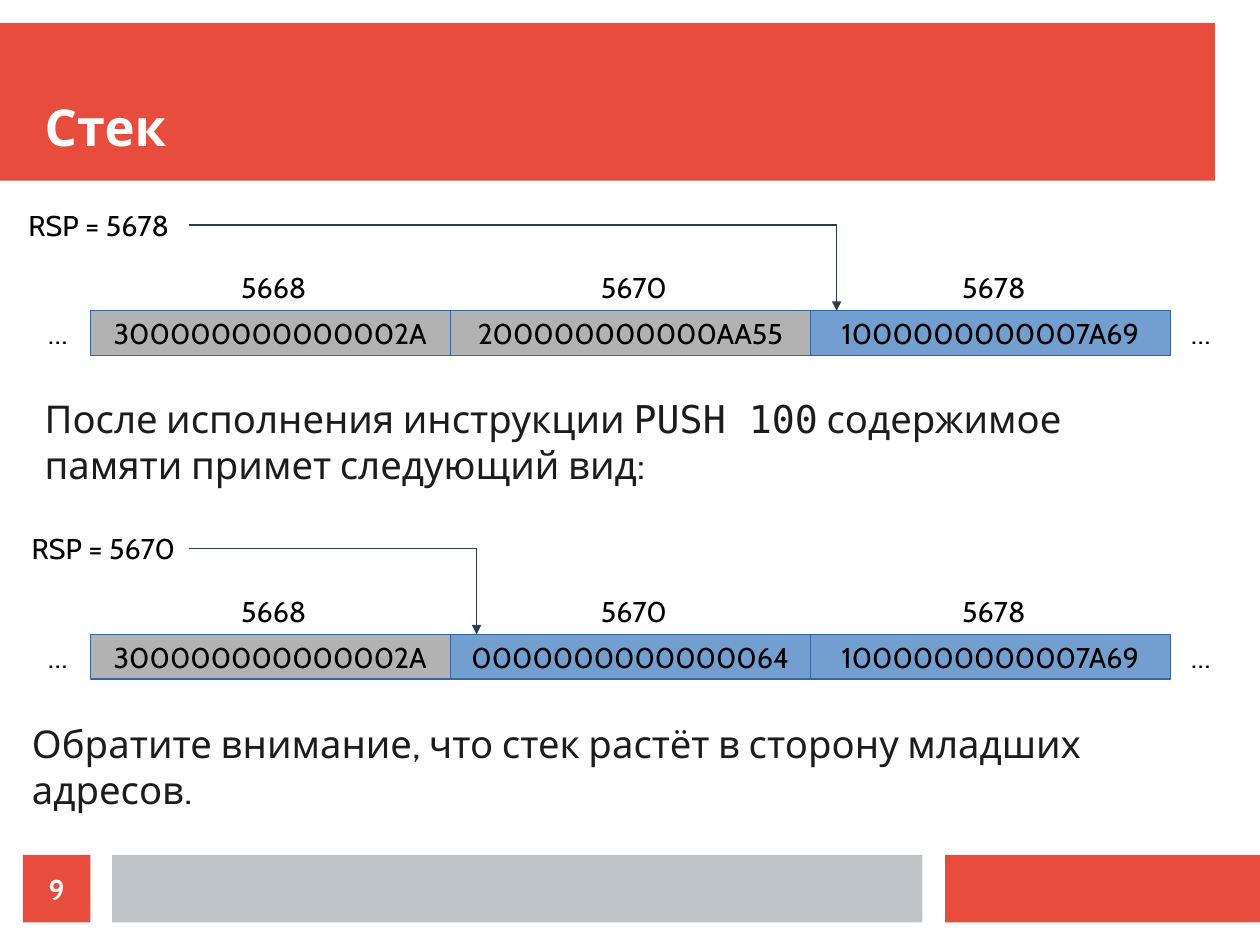
from dataclasses import dataclass

from lxml.etree import SubElement
from pptx import Presentation
from pptx.dml.color import RGBColor as Rgb
from pptx.enum.shapes import MSO_CONNECTOR as Connector, MSO_SHAPE as Preset
from pptx.enum.text import MSO_ANCHOR as Anchor, PP_ALIGN as Align
from pptx.oxml.ns import qn
from pptx.util import Inches, Pt


@dataclass(frozen=True)
class Theme:
    red: str = "E74C3C"
    silver: str = "BDC3C7"
    free: str = "B2B2B2"
    used: str = "729FCF"
    border: str = "3465A4"
    arrow: str = "2C3E50"
    body: str = "1C1C1C"
    black: str = "000000"
    white: str = "FFFFFF"
    font: str = "Cabin"
    mono: str = "DejaVu Sans Mono"
    title_size: float = 32
    body_size: float = 24.1
    label_size: float = 18


THEME = Theme()
CM_PER_INCH = 2.54
SLIDE_WIDTH, SLIDE_HEIGHT = 28 / CM_PER_INCH, 21 / CM_PER_INCH
CELL_LEFT, CELL_WIDTH, CELL_HEIGHT = 0.79, 3.15, 0.39
ADDRESSES = ("5668", "5670", "5678")


def color(value):
    return Rgb.from_string(value)


def write(frame, *parts, size=THEME.label_size, ink=THEME.black, bold=False,
          align=Align.CENTER, anchor=Anchor.MIDDLE, wrap=False, inset=(0.1, 0.05)):
    frame.word_wrap = wrap
    frame.vertical_anchor = anchor
    frame.margin_left = frame.margin_right = Inches(inset[0])
    frame.margin_top = frame.margin_bottom = Inches(inset[1])
    paragraph = frame.paragraphs[0]
    paragraph.alignment = align
    for words, face in parts:
        run = paragraph.add_run()
        run.text = words
        run.font.name = face
        run.font.size = Pt(size)
        run.font.bold = bold
        run.font.color.rgb = color(ink)


def add_text(slide, box, *parts, **style):
    label = slide.shapes.add_textbox(*map(Inches, box))
    write(label.text_frame, *parts, **style)


def add_label(slide, words, *box):
    add_text(slide, box, (words, THEME.font))


def add_body(slide, left, top, *parts):
    add_text(slide, (left, top, 10.04, 0.91), *parts, size=THEME.body_size,
             ink=THEME.body, align=Align.LEFT, anchor=Anchor.TOP, wrap=True,
             inset=(0, 0))


def add_block(slide, fill, *box, border=None):
    block = slide.shapes.add_shape(Preset.RECTANGLE, *map(Inches, box))
    block.shadow.inherit = False
    block.fill.solid()
    block.fill.fore_color.rgb = color(fill)
    if border:
        block.line.color.rgb = color(border)
        block.line.width = Pt(0)
    else:
        block.line.fill.background()
    return block


def add_line(slide, *ends, arrow=False):
    line = slide.shapes.add_connector(Connector.STRAIGHT, *map(Inches, ends))
    line.line.color.rgb = color(THEME.arrow)
    line.line.width = Pt(1)
    if arrow:
        SubElement(line.line._get_or_add_ln(), qn("a:headEnd"), type="triangle")
    SubElement(line._element.spPr, qn("a:effectLst"))


def add_stack(slide, top, values, pointer, pointer_left):
    for index, (address, value) in enumerate(zip(ADDRESSES, values)):
        left = CELL_LEFT + index * CELL_WIDTH
        fill = THEME.used if index >= pointer else THEME.free
        cell = add_block(slide, fill, left, top, CELL_WIDTH, CELL_HEIGHT,
                         border=THEME.border)
        write(cell.text_frame, (value, THEME.font))
        add_label(slide, address, left + 0.78, top - 0.36, 1.65, 0.31)
    for left in (0.31, 10.31):
        add_label(slide, "…", left, top, 0.39, CELL_HEIGHT)

    target = CELL_LEFT + pointer * CELL_WIDTH + 0.23
    turn = top - 0.75
    add_label(slide, f"RSP = {ADDRESSES[pointer]}", pointer_left, top - 0.91, 1.57, 0.31)
    add_line(slide, target, top, target, turn, arrow=True)
    add_line(slide, 1.65, turn, target, turn)


def main():
    deck = Presentation()
    deck.slide_width, deck.slide_height = Inches(SLIDE_WIDTH), Inches(SLIDE_HEIGHT)
    slide = deck.slides.add_slide(deck.slide_layouts[6])

    add_block(slide, THEME.red, 0, 0.2, 10.63, 1.38)
    add_block(slide, THEME.red, 8.27, 7.48, SLIDE_WIDTH - 8.27, 0.59)
    add_block(slide, THEME.silver, 0.98, 7.48, 7.09, 0.59)
    add_text(slide, (0.39, 0.39, 10.24, 0.98), ("Стек", THEME.font),
             size=THEME.title_size, ink=THEME.white, bold=True, align=Align.LEFT,
             anchor=Anchor.BOTTOM, wrap=True, inset=(0, 0))

    add_stack(slide, 2.72,
              ("300000000000002A", "200000000000AA55", "1000000000007A69"),
              pointer=2, pointer_left=0.08)
    add_body(slide, 0.39, 3.46,
             ("После исполнения инструкции ", THEME.font),
             ("PUSH 100", THEME.mono),
             (" содержимое памяти примет следующий вид:", THEME.font))
    add_stack(slide, 5.55,
              ("300000000000002A", "0000000000000064", "1000000000007A69"),
              pointer=1, pointer_left=0.12)
    add_body(slide, 0.28, 6.3,
             ("Обратите внимание, что стек растёт в сторону младших адресов.",
              THEME.font))

    page = add_block(slide, THEME.red, 0.2, 7.48, 0.59, 0.59)
    write(page.text_frame, ("9", THEME.font), ink=THEME.white, bold=True,
          wrap=True, inset=(0, 0))
    deck.save("out.pptx")


if __name__ == "__main__":
    main()
